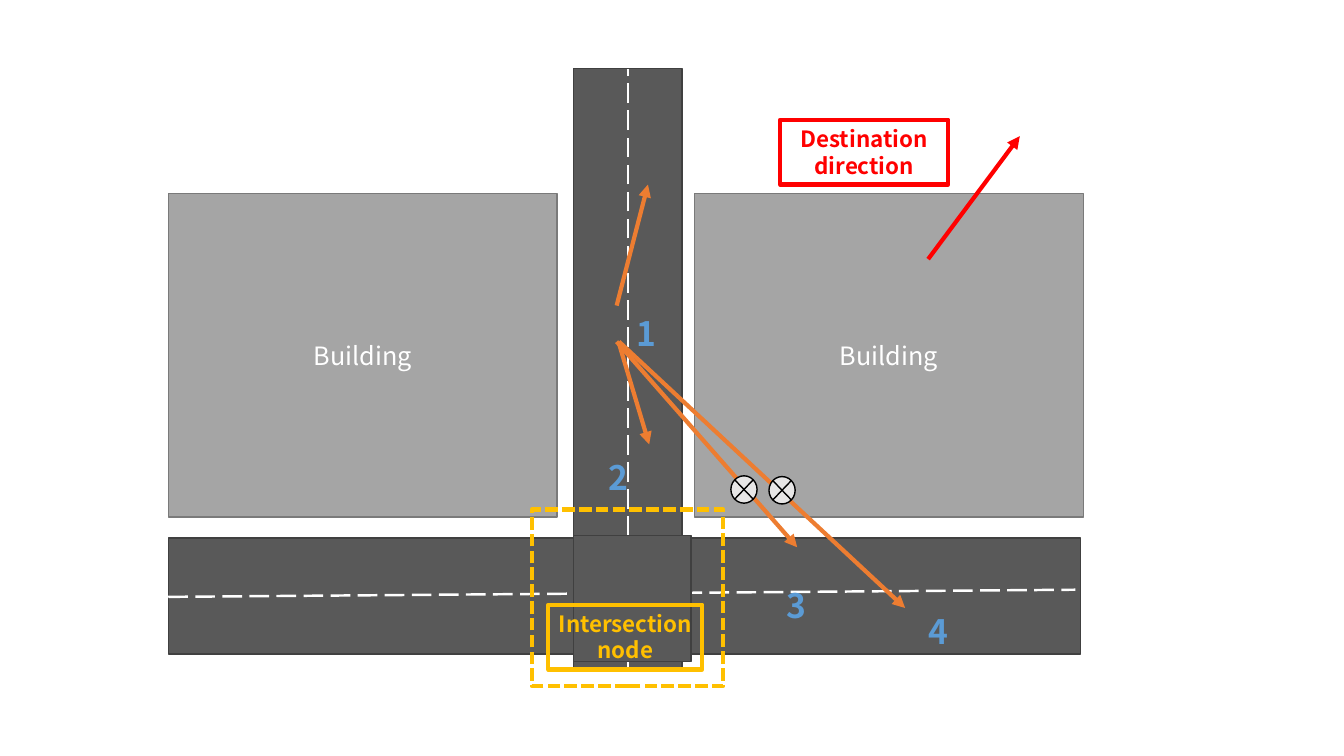
from lxml.etree import SubElement as Sub
from pptx import Presentation
from pptx.dml.color import RGBColor as Rgb
from pptx.enum.dml import MSO_LINE as Dash
from pptx.enum.shapes import MSO_CONNECTOR as Conn, MSO_SHAPE as Geo
from pptx.enum.text import MSO_ANCHOR as Anchor, PP_ALIGN as Align
from pptx.oxml.ns import qn
from pptx.util import Cm, Pt


class Theme:
    font = "Noto Sans CJK JP"
    small, body, big = Pt(16), Pt(18), Pt(24)
    thin, lane, thick = Pt(1), Pt(1.75), Pt(3)
    white = Rgb.from_string("FFFFFF")
    black = Rgb.from_string("000000")
    wall = Rgb.from_string("A5A5A5")
    edge = Rgb.from_string("7A7A7A")
    road = Rgb.from_string("595959")
    curb = Rgb.from_string("404040")
    gold = Rgb.from_string("FFC000")
    red = Rgb.from_string("FF0000")
    path_tone = Rgb.from_string("ED7D31")
    pale = Rgb.from_string("E7E6E6")
    blue = Rgb.from_string("5B9BD5")


deck = Presentation()
deck.slide_width, deck.slide_height = Cm(33.87), Cm(19.05)
shapes = deck.slides.add_slide(deck.slide_layouts[6]).shapes


def box(place, fill, edge, width=Theme.thin, geo=Geo.RECTANGLE):
    shape = shapes.add_shape(geo, *map(Cm, place))
    shape.shadow.inherit = False
    if fill is None:
        shape.fill.background()
    else:
        shape.fill.solid()
        shape.fill.fore_color.rgb = fill
    shape.line.color.rgb = edge
    shape.line.width = width
    return shape


def link(ends, color, width, arrow=False):
    line = shapes.add_connector(Conn.STRAIGHT, *map(Cm, ends))
    line.line.color.rgb = color
    line.line.width = width
    if arrow:
        Sub(line.line._get_or_add_ln(), qn("a:tailEnd"), type="triangle")
    else:
        line.line.dash_style = Dash.LONG_DASH
    Sub(line._element.spPr, qn("a:effectLst"))
    return line


# Buildings
for left in (4.24, 17.5):
    block = box((left, 4.88, 9.8, 8.15), Theme.wall, Theme.edge)
    frame = block.text_frame
    frame.text = "Building"
    frame.vertical_anchor = Anchor.MIDDLE
    para = frame.paragraphs[0]
    para.alignment = Align.CENTER
    font = para.runs[0].font
    font.name, font.size, font.color.rgb = Theme.font, Theme.body, Theme.white

# Roads and lane marks
street = box((14.45, 1.73, 2.74, 15.19), Theme.road, Theme.curb)
box((4.24, 13.56, 22.99, 2.92), Theme.road, Theme.curb)
lane = link((15.82, 16.92, 15.82, 1.73), Theme.white, Theme.lane)
lane.begin_connect(street, 2)
lane.end_connect(street, 0)
link((4.24, 15.04, 27.1, 14.86), Theme.white, Theme.lane)

# Intersection
zone = box((13.4, 12.84, 4.83, 4.45), None, Theme.gold, Theme.thick)
zone.line.dash_style = Dash.SQUARE_DOT
box((14.45, 13.49, 2.97, 3.18), Theme.road, Theme.curb)

# Framed labels
for text, place, color in (
    ("Intersection node", (13.82, 15.24, 3.88, 1.63), Theme.gold),
    ("Destination direction", (19.66, 3.02, 4.24, 1.63), Theme.red),
):
    frame = box(place, None, color, Theme.thick).text_frame
    frame.text = text
    frame.word_wrap = True
    frame.vertical_anchor = Anchor.TOP
    para = frame.paragraphs[0]
    para.alignment = Align.CENTER
    font = para.runs[0].font
    font.name, font.size, font.bold = Theme.font, Theme.small, True
    font.color.rgb = color

# Direction arrows
link((23.39, 6.53, 25.7, 3.43), Theme.red, Theme.thick, True)
for ends in (
    (15.54, 7.7, 16.33, 4.65),
    (15.6, 8.66, 16.36, 11.2),
    (15.54, 8.61, 20.09, 13.79),
    (15.6, 8.61, 22.81, 15.32),
):
    link(ends, Theme.path_tone, Theme.thick, True)

# Blocked marks
for left, top in ((19.38, 12.01), (18.42, 11.99)):
    box((left, top, 0.66, 0.69), Theme.pale, Theme.black,
        geo=Geo.FLOWCHART_SUMMING_JUNCTION)

# Path numbers
spots = ((15.8, 7.77), (15.09, 11.38), (19.56, 14.61), (23.14, 15.27))
for num, (left, top) in enumerate(spots, 1):
    frame = shapes.add_textbox(Cm(left), Cm(top), Cm(0.99), Cm(1.27)).text_frame
    frame.text = str(num)
    frame.word_wrap = True
    font = frame.paragraphs[0].runs[0].font
    font.name, font.size, font.bold = Theme.font, Theme.big, True
    font.color.rgb = Theme.blue

deck.save("out.pptx")
